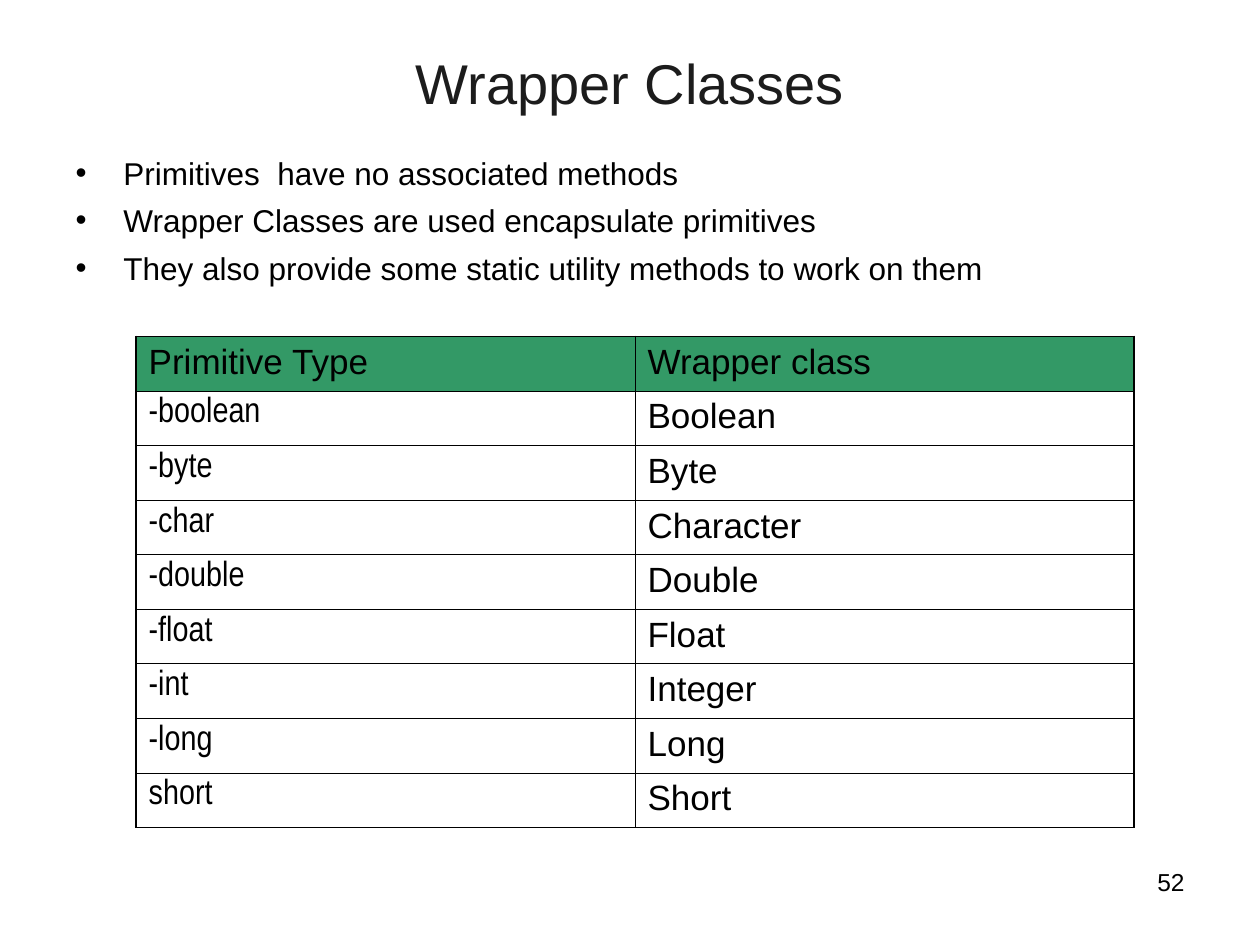
from pptx import Presentation
from pptx.dml.color import RGBColor
from pptx.enum.text import MSO_ANCHOR, PP_ALIGN
from pptx.oxml import parse_xml
from pptx.oxml.ns import nsdecls
from pptx.util import Inches, Pt

LEFT, CENTER, RIGHT = PP_ALIGN.LEFT, PP_ALIGN.CENTER, PP_ALIGN.RIGHT
TOP, MIDDLE = MSO_ANCHOR.TOP, MSO_ANCHOR.MIDDLE
BLACK, GREEN = "000000", "339966"
THIN, THICK = Pt(0.45), Pt(1.08)


def write(para, text, size=20, font="Arial", color=BLACK, align=LEFT):
    para.alignment = align
    span = para.add_run()
    span.text = text
    span.font.size = Pt(size)
    span.font.name = font
    span.font.color.rgb = RGBColor.from_string(color)


def place(box, left, top, width, height, anchor=TOP):
    box.left, box.top = Inches(left), Inches(top)
    box.width, box.height = Inches(width), Inches(height)
    box.text_frame.word_wrap = True
    box.text_frame.vertical_anchor = anchor


deck = Presentation()
deck.slide_width, deck.slide_height = Inches(10), Inches(7.5)
page = deck.slides.add_slide(deck.slide_layouts[1])

# Title
title = page.shapes.title
place(title, 0.5, 0.3, 9, 0.7, MIDDLE)
write(title.text_frame.paragraphs[0], "Wrapper Classes", size=32,
      color="1C1C1C", align=CENTER)

# Bullet list
body = page.placeholders[1]
place(body, 0.5, 1.17, 8, 1.33)
points = [
    "Primitives  have no associated methods",
    "Wrapper Classes are used encapsulate primitives",
    "They also provide some static utility methods to work on them",
]
indent = Inches(0.38)
for number, point in enumerate(points):
    frame = body.text_frame
    para = frame.add_paragraph() if number else frame.paragraphs[0]
    para.space_before = Pt(5.5 if number else 0)
    properties = para._p.get_or_add_pPr()
    properties.set("marL", str(indent))
    properties.set("indent", str(-indent))
    for bullet in (f'<a:buClr {nsdecls("a")}><a:srgbClr val="{BLACK}"/></a:buClr>',
                   f'<a:buFont {nsdecls("a")} typeface="Arial"/>',
                   f'<a:buChar {nsdecls("a")} char="•"/>'):
        properties.append(parse_xml(bullet))
    write(para, point, size=18)

# Table of primitives and their wrappers
rows = [
    ("Primitive Type", "Wrapper class"),
    ("-boolean", "Boolean"),
    ("-byte", "Byte"),
    ("-char", "Character"),
    ("-double", "Double"),
    ("-float", "Float"),
    ("-int", "Integer"),
    ("-long", "Long"),
    ("short", "Short"),
]
last_row, last_column = len(rows) - 1, len(rows[0]) - 1
table = page.shapes.add_table(len(rows), len(rows[0]), Inches(1.08), Inches(2.67),
                              Inches(7.92), Inches(3.9)).table
for r, row in enumerate(rows):
    for c, text in enumerate(row):
        cell = table.cell(r, c)
        narrow = r > 0 and c == 0
        write(cell.text_frame.paragraphs[0], text,
              font="Arial Narrow" if narrow else "Arial")
        # Thick lines around the table, thin ones inside
        outer = {"L": c == 0, "R": c == last_column, "T": r == 0, "B": r == last_row}
        for side, is_outer in outer.items():
            cell._tc.get_or_add_tcPr().append(parse_xml(
                f'<a:ln{side} {nsdecls("a")} w="{THICK if is_outer else THIN}">'
                f'<a:solidFill><a:srgbClr val="{BLACK}"/></a:solidFill></a:ln{side}>'))
        if r == 0:
            cell.fill.solid()
            cell.fill.fore_color.rgb = RGBColor.from_string(GREEN)
        else:
            cell.fill.background()

# Page number
number_box = page.shapes.add_textbox(0, 0, 0, 0)
place(number_box, 7.17, 6.83, 2.33, 0.52)
write(number_box.text_frame.paragraphs[0], "52", size=14, align=RIGHT)

deck.save("out.pptx")
